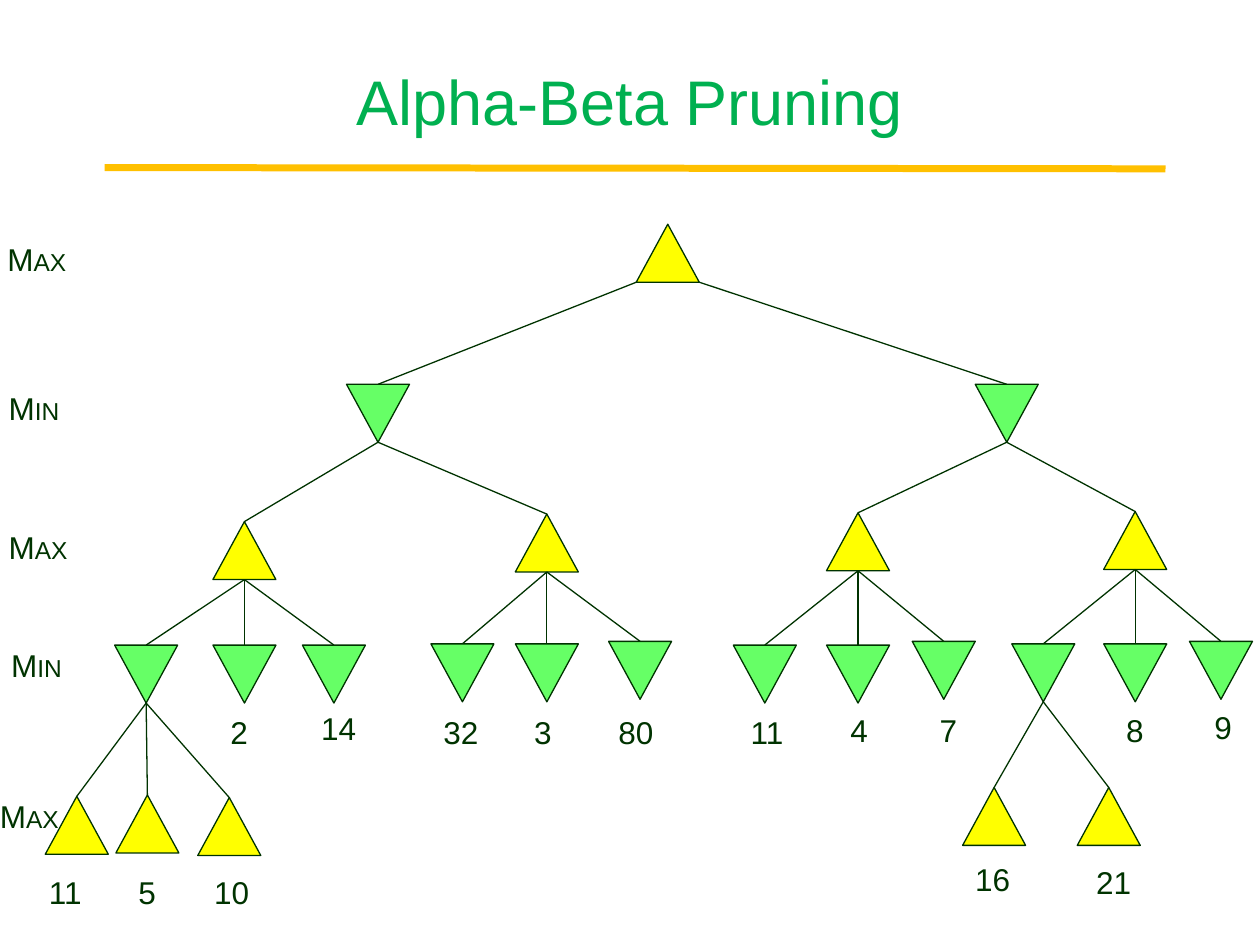
from dataclasses import dataclass
from typing import Optional

from lxml.etree import SubElement
from pptx import Presentation
from pptx.dml.color import RGBColor
from pptx.enum.shapes import MSO_CONNECTOR, MSO_SHAPE
from pptx.enum.text import MSO_ANCHOR, MSO_AUTO_SIZE, PP_ALIGN
from pptx.oxml.ns import qn
from pptx.util import Inches, Pt


@dataclass(frozen=True)
class Theme:
    font: str = "Arial"
    title: str = "00B050"
    rule: str = "FFC000"
    ink: str = "003300"
    max_fill: str = "FFFF00"
    min_fill: str = "66FF66"
    title_size: int = 36
    label_size: int = 18
    small_cap_size: int = 14
    rule_width: float = 4
    line_width: float = 0.75


@dataclass(frozen=True)
class Value:
    text: str
    left: float
    top: float


@dataclass(frozen=True)
class Node:
    """A player's turn: x is the centre, top the upper edge."""
    x: float
    top: float
    value: Optional[Value] = None
    children: tuple["Node", ...] = ()


@dataclass(frozen=True)
class Level:
    player: str
    left: float
    top: float
    width: float


THEME = Theme()
NODE_WIDTH, NODE_HEIGHT = 0.5, 0.46
LABEL_HEIGHT = 0.4

# Game tree, from the root down; levels alternate between Max and Min
TREE = Node(5.3, 1.78, children=(
    Node(3, 3.05, children=(
        Node(1.94, 4.14, children=(
            Node(1.16, 5.12, children=(
                Node(0.61, 6.32, Value("11", 0.29, 6.88)),
                Node(1.17, 6.31, Value("5", 1, 6.88)),
                Node(1.82, 6.33, Value("10", 1.6, 6.88)),
            )),
            Node(1.94, 5.12, Value("2", 1.73, 5.61)),
            Node(2.65, 5.12, Value("14", 2.45, 5.58)),
        )),
        Node(4.34, 4.08, children=(
            Node(3.67, 5.11, Value("32", 3.42, 5.61)),
            Node(4.34, 5.11, Value("3", 4.14, 5.61)),
            Node(5.08, 5.09, Value("80", 4.81, 5.61)),
        )),
    )),
    Node(7.99, 3.05, children=(
        Node(6.81, 4.07, children=(
            Node(6.07, 5.12, Value("11", 5.86, 5.61)),
            Node(6.81, 5.12, Value("4", 6.65, 5.59)),
            Node(7.49, 5.09, Value("7", 7.36, 5.59)),
        )),
        Node(9.01, 4.06, children=(
            Node(8.28, 5.11, children=(
                Node(7.89, 6.25, Value("16", 7.64, 6.78)),
                Node(8.8, 6.25, Value("21", 8.6, 6.8)),
            )),
            Node(9.01, 5.11, Value("8", 8.84, 5.59)),
            Node(9.69, 5.09, Value("9", 9.54, 5.57)),
        )),
    )),
))

LEVELS = (
    Level("MAX", -0.04, 1.86, 0.68),
    Level("MIN", -0.03, 3.04, 0.61),
    Level("MAX", -0.03, 4.14, 0.68),
    Level("MIN", -0.01, 5.08, 0.61),
    Level("MAX", -0.1, 6.28, 0.68),
)


def add_run(paragraph, text: str, *, size: float, color: str) -> None:
    run = paragraph.add_run()
    run.text = text
    run.font.name = THEME.font
    run.font.size = Pt(size)
    run.font.color.rgb = RGBColor.from_string(color)


def add_label(slide, text: str, *, left: float, top: float, width: float,
              small_caps: bool = False) -> None:
    box = slide.shapes.add_textbox(Inches(left), Inches(top),
                                   Inches(width), Inches(LABEL_HEIGHT))
    frame = box.text_frame
    frame.word_wrap = False
    frame.auto_size = MSO_AUTO_SIZE.SHAPE_TO_FIT_TEXT
    paragraph = frame.paragraphs[0]
    head, tail = (text[:1], text[1:]) if small_caps else (text, "")
    add_run(paragraph, head, size=THEME.label_size, color=THEME.ink)
    if tail:
        add_run(paragraph, tail, size=THEME.small_cap_size, color=THEME.ink)


def add_line(slide, start: tuple[float, float], end: tuple[float, float], *,
             color: str = THEME.ink, width: float = THEME.line_width) -> None:
    line = slide.shapes.add_connector(
        MSO_CONNECTOR.STRAIGHT, *(Inches(v) for v in (*start, *end)))
    line.line.color.rgb = RGBColor.from_string(color)
    line.line.width = Pt(width)
    SubElement(line._element.spPr, qn("a:effectLst"))


def add_triangle(slide, node: Node, is_max: bool) -> None:
    triangle = slide.shapes.add_shape(
        MSO_SHAPE.ISOSCELES_TRIANGLE, Inches(node.x - NODE_WIDTH / 2),
        Inches(node.top), Inches(NODE_WIDTH), Inches(NODE_HEIGHT))
    triangle.rotation = 0 if is_max else 180
    triangle.shadow.inherit = False
    triangle.fill.solid()
    triangle.fill.fore_color.rgb = RGBColor.from_string(
        THEME.max_fill if is_max else THEME.min_fill)
    triangle.line.color.rgb = RGBColor.from_string(THEME.ink)
    triangle.line.width = Pt(THEME.line_width)


def draw_tree(slide, node: Node, depth: int = 0) -> None:
    add_triangle(slide, node, is_max=depth % 2 == 0)
    for child in node.children:
        # The root's branches leave from its base corners
        start = node.x
        if depth == 0:
            start += NODE_WIDTH / 2 if child.x > node.x else -NODE_WIDTH / 2
        add_line(slide, (start, node.top + NODE_HEIGHT), (child.x, child.top))
        draw_tree(slide, child, depth + 1)
    if node.value:
        add_label(slide, node.value.text, left=node.value.left,
                  top=node.value.top, width=0.2 + 0.14 * len(node.value.text))


def add_title(slide, text: str) -> None:
    title = slide.shapes.title
    title.left, title.top = Inches(0.75), Inches(0.17)
    title.width, title.height = Inches(8.5), Inches(1.25)
    title.text_frame.vertical_anchor = MSO_ANCHOR.MIDDLE
    paragraph = title.text_frame.paragraphs[0]
    paragraph.alignment = PP_ALIGN.CENTER
    add_run(paragraph, text, size=THEME.title_size, color=THEME.title)


def main() -> None:
    deck = Presentation()
    deck.slide_width, deck.slide_height = Inches(10), Inches(7.5)
    slide = deck.slides.add_slide(deck.slide_layouts[5])

    # Heading and rule
    add_title(slide, "Alpha-Beta Pruning")
    add_line(slide, (0.83, 1.33), (9.25, 1.34),
             color=THEME.rule, width=THEME.rule_width)

    # Game tree with leaf values
    draw_tree(slide, TREE)

    # Player names beside the levels
    for level in LEVELS:
        add_label(slide, level.player, left=level.left, top=level.top,
                  width=level.width, small_caps=True)

    deck.save("out.pptx")


if __name__ == "__main__":
    main()
